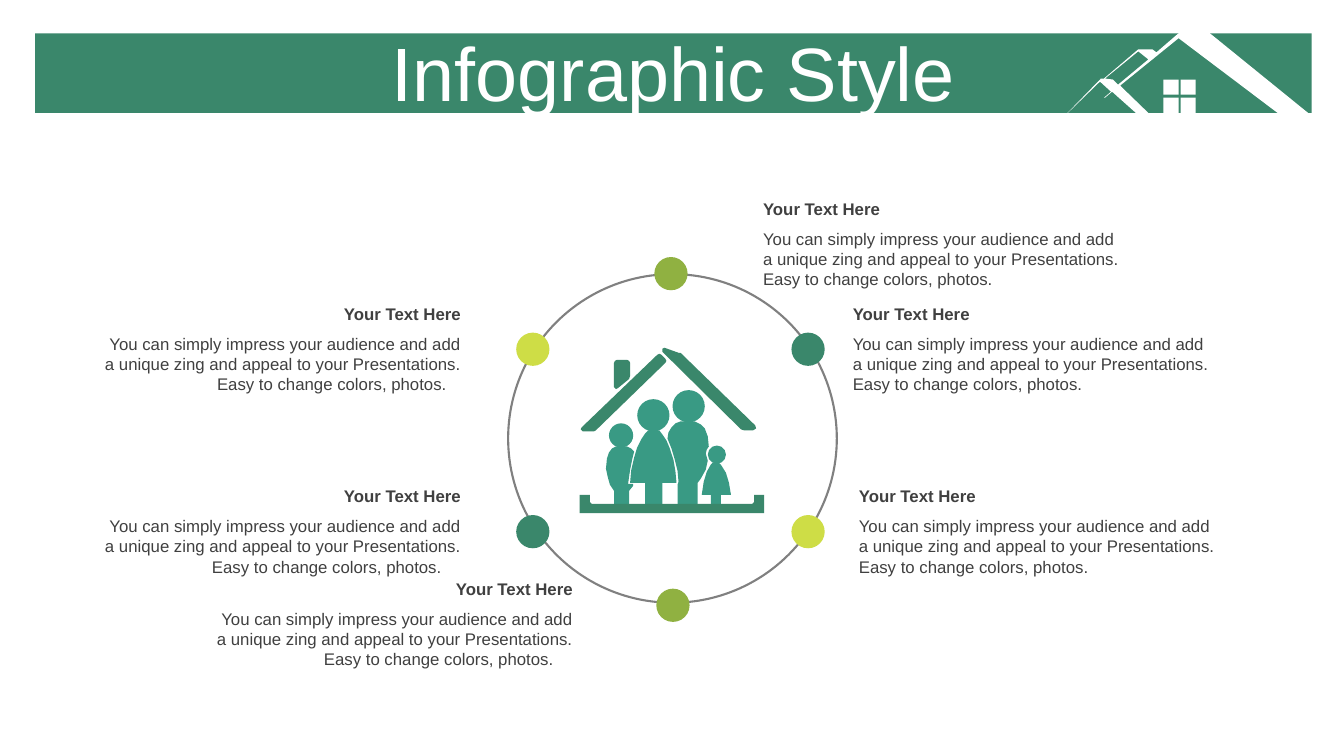
from dataclasses import dataclass

from pptx import Presentation
from pptx.dml.color import RGBColor
from pptx.enum.shapes import MSO_SHAPE
from pptx.enum.text import MSO_ANCHOR, PP_ALIGN
from pptx.util import Inches, Pt

OVAL, RECTANGLE = MSO_SHAPE.OVAL, MSO_SHAPE.RECTANGLE
LEFT, CENTER, RIGHT = PP_ALIGN.LEFT, PP_ALIGN.CENTER, PP_ALIGN.RIGHT
MIDDLE = MSO_ANCHOR.MIDDLE


@dataclass(frozen=True)
class Theme:
    font: str = "Arial"
    title_size: int = 54
    text_size: int = 12
    white: str = "FFFFFF"
    text: str = "404040"
    ring: str = "808080"
    green: str = "3A876B"
    teal: str = "399A84"
    olive: str = "90B141"
    lime: str = "CEDD46"


theme = Theme()
deck = Presentation()
deck.slide_width, deck.slide_height = Inches(13.33), Inches(7.5)
page = deck.slides.add_slide(deck.slide_layouts[6])


def add_figure(color, contours=(), preset=None, bounds=()):
    """Add a borderless preset shape, or one freeform made of closed contours."""
    if preset is not None:
        figure = page.shapes.add_shape(preset, *map(Inches, bounds))
    else:
        outlines = [[(Inches(x), Inches(y)) for x, y in contour] for contour in contours]
        builder = page.shapes.build_freeform(*outlines[0][0])
        builder.add_line_segments(outlines[0][1:])
        for outline in outlines[1:]:
            builder.move_to(*outline[0])
            builder.add_line_segments(outline[1:])
        figure = builder.convert_to_shape()
    figure.shadow.inherit = False
    figure.fill.solid()
    figure.fill.fore_color.rgb = RGBColor.from_string(color)
    figure.line.fill.background()
    return figure


def add_text(bounds, lines, size, color, align, bold=False):
    box = page.shapes.add_textbox(*map(Inches, bounds))
    box.text_frame.word_wrap = True
    box.text_frame.text = "\n".join(lines)
    for para in box.text_frame.paragraphs:
        para.alignment = align
        for span in para.runs:
            span.font.name = theme.font
            span.font.size = Pt(size)
            span.font.bold = bold
            span.font.color.rgb = RGBColor.from_string(color)
    return box


# Banner with house roof
add_figure(theme.green, preset=RECTANGLE, bounds=(0.35, 0.33, 12.66, 0.79))
roof = [
    (11.69, 0.33), (12, 0.33), (13.01, 1.15), (12.71, 1.15), (11.69, 0.38),
    (11.11, 0.85), (11.43, 1.16), (11.31, 1.16), (11.03, 0.91), (10.96, 0.97),
    (10.95, 0.97), (11.02, 0.91), (10.91, 0.81), (10.55, 1.16), (10.92, 0.78),
    (10.95, 0.78), (11.29, 0.49), (11.43, 0.49), (11.47, 0.52),
]
gable = [(11.29, 0.51), (10.96, 0.78), (11.04, 0.79), (11.09, 0.84), (11.39, 0.59)]
panes = [
    [(x, y), (x + 0.15, y), (x + 0.15, y + 0.15), (x, y + 0.15)]
    for x in (11.54, 11.71) for y in (0.79, 0.97)
]
add_figure(theme.white, [roof, gable, *panes])

title = add_text((0.35, 0.37, 12.66, 0.79), ["Infographic Style"],
                 theme.title_size, theme.white, CENTER)
title.text_frame.vertical_anchor = MIDDLE
title.text_frame.paragraphs[0].line_spacing = 0.9
title.text_frame.paragraphs[0].space_before = Pt(10)

# Ring
ring = add_figure(theme.white, preset=OVAL, bounds=(5.04, 2.72, 3.26, 3.26))
ring.fill.background()
ring.line.color.rgb = RGBColor.from_string(theme.ring)
ring.line.width = Pt(1.5)

# Stations: dot left, dot top, dot colour, text left, text top, alignment, last line inset
stations = [
    (6.49, 2.55, theme.olive, 7.47, 1.92, LEFT, 0),
    (7.85, 3.30, theme.green, 8.36, 2.96, LEFT, 0),
    (7.85, 5.11, theme.lime, 8.42, 4.77, LEFT, 0),
    (6.51, 5.84, theme.olive, 2.04, 5.69, RIGHT, 0.19),
    (5.12, 5.11, theme.green, 0.93, 4.77, RIGHT, 0.19),
    (5.12, 3.30, theme.lime, 0.93, 2.96, RIGHT, 0.14),
]
opening = "You can simply impress your audience and add a unique zing and appeal to your Presentations."
closing = "Easy to change colors, photos."
for dot_left, dot_top, color, left, top, align, inset in stations:
    add_figure(color, preset=OVAL, bounds=(dot_left, dot_top, 0.33, 0.33))
    add_text((left, top, 3.74, 0.3), ["Your Text Here"],
             theme.text_size, theme.text, align, bold=True)
    lines = [opening, closing] if inset else [f"{opening} {closing}"]
    box = add_text((left, top + 0.3, 3.74, 0.71), lines, theme.text_size, theme.text, align)
    if inset:
        last = box.text_frame.paragraphs[-1]
        last._p.get_or_add_pPr().set("marR", str(Inches(inset)))

# Family: head centre x, centre y, radius, then body outline
family = [
    (7.11, 4.51, 0.09, [  # girl
        (7.07, 4.59), (7.13, 4.59), (7.15, 4.61), (7.2, 4.69), (7.23, 4.79),
        (7.25, 4.91), (7.15, 4.91), (7.15, 5), (7.05, 5), (7.05, 4.91),
        (6.96, 4.91), (6.98, 4.78), (7.01, 4.68), (7.05, 4.61)]),
    (6.16, 4.32, 0.12, [  # boy
        (6.11, 4.43), (6.22, 4.43), (6.26, 4.45), (6.29, 4.48), (6.27, 4.56),
        (6.25, 4.66), (6.23, 4.8), (6.28, 4.8), (6.28, 4.82), (6.24, 4.87),
        (6.24, 5), (6.09, 5), (6.09, 4.87), (6.05, 4.81), (6.03, 4.74),
        (6.01, 4.65), (6.02, 4.55), (6.04, 4.49), (6.07, 4.45)]),
    (6.48, 4.12, 0.16, [  # mother
        (6.43, 4.27), (6.54, 4.27), (6.57, 4.31), (6.61, 4.37), (6.64, 4.44),
        (6.68, 4.56), (6.7, 4.68), (6.71, 4.79), (6.57, 4.79), (6.57, 5),
        (6.4, 5), (6.4, 4.79), (6.25, 4.79), (6.26, 4.67), (6.29, 4.54),
        (6.32, 4.44), (6.36, 4.36), (6.4, 4.3)]),
    (6.83, 4.03, 0.16, [  # father
        (6.75, 4.18), (6.89, 4.18), (6.95, 4.21), (6.99, 4.25), (7.02, 4.33),
        (7.03, 4.43), (7.01, 4.46), (7, 4.5), (7.02, 4.57), (7, 4.66),
        (6.95, 4.75), (6.92, 4.79), (6.92, 5), (6.72, 5), (6.72, 4.81),
        (6.73, 4.78), (6.72, 4.67), (6.69, 4.55), (6.66, 4.45), (6.62, 4.35),
        (6.63, 4.29), (6.66, 4.24), (6.7, 4.2)]),
]
for x, y, radius, body in family:
    add_figure(theme.teal, [body])
    add_figure(theme.teal, preset=OVAL,
               bounds=(x - radius, y - radius, 2 * radius, 2 * radius))

# House around the family
floor = [
    (5.75, 4.91), (5.85, 4.91), (5.85, 4.98), (5.87, 5), (7.46, 5), (7.48, 4.98),
    (7.48, 4.91), (7.58, 4.91), (7.58, 5.09), (5.75, 5.09),
]
chimney = [
    (6.12, 3.57), (6.22, 3.57), (6.24, 3.58), (6.25, 3.6), (6.25, 3.73),
    (6.24, 3.76), (6.13, 3.85), (6.11, 3.86), (6.09, 3.84), (6.09, 3.6), (6.1, 3.58),
]
left_beam = [
    (6.54, 3.51), (6.56, 3.52), (6.6, 3.56), (6.61, 3.58), (6.6, 3.6),
    (5.91, 4.27), (5.89, 4.28), (5.78, 4.28), (5.76, 4.26), (5.77, 4.24), (6.52, 3.52),
]
right_beam = [
    (6.59, 3.45), (6.73, 3.5), (6.75, 3.5), (7.49, 4.22), (7.5, 4.25),
    (7.47, 4.27), (7.38, 4.27), (7.35, 4.26), (6.57, 3.49), (6.57, 3.46),
]
add_figure(theme.green, [floor, chimney, left_beam, right_beam])

deck.save("out.pptx")
